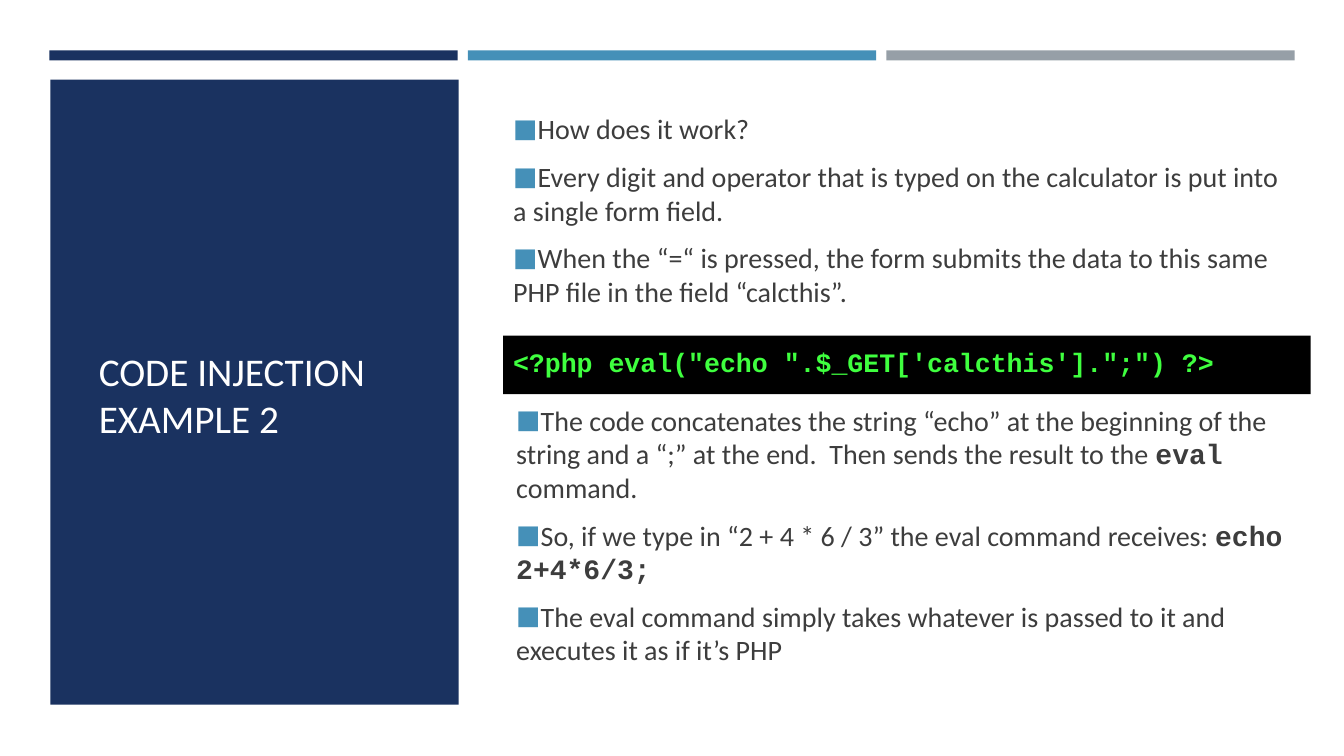
from dataclasses import dataclass

from lxml.etree import SubElement
from pptx import Presentation
from pptx.dml.color import RGBColor
from pptx.enum.shapes import MSO_SHAPE as Shape
from pptx.enum.text import MSO_ANCHOR as Anchor, MSO_AUTO_SIZE as AutoSize, PP_ALIGN as Align
from pptx.oxml.ns import qn
from pptx.util import Inches, Pt

COLORS = {
    "navy": "1A3260",
    "blue": "4590B8",
    "gray": "969FA7",
    "text": "3D3D3D",
    "black": "000000",
    "green": "3FFF3F",
    "white": "FFFFFF",
}
BODY_FONT, CODE_FONT = "Calibri", "Courier New"


@dataclass
class Block:
    left: float
    top: float
    width: float
    height: float
    color: str


@dataclass
class Span:
    text: str
    code: bool = False


@dataclass
class BulletList:
    left: float
    top: float
    width: float
    height: float
    top_inset: float
    items: list[list[Span]]


PANEL = Block(0.5, 0.79, 4.05, 6.2, "navy")
BAR_STEP = 4.15
BARS = [
    Block(0.49 + index * BAR_STEP, 0.5, 4.05, 0.1, color)
    for index, color in enumerate(("navy", "blue", "gray"))
]
CODE_BAR = Block(4.99, 3.33, 8.01, 0.58, "black")
LISTS = [
    BulletList(4.99, 0.79, 7.86, 2.55, 0.32, [
        [Span("How does it work?")],
        [Span("Every digit and operator that is typed on the calculator is put into "
              "a single form field.")],
        [Span("When the “=“ is pressed, the form submits the data to this same PHP file "
              "in the field “calcthis”.")],
    ]),
    BulletList(5.02, 4.0, 7.86, 2.96, 0, [
        [Span("The code concatenates the string “echo” at the beginning of the string and "
              "a “;” at the end.  Then sends the result to the "),
         Span("eval ", code=True),
         Span("command.")],
        [Span("So, if we type in “2 + 4 * 6 / 3” the eval command receives: "),
         Span("echo 2+4*6/3;", code=True)],
        [Span("The eval command simply takes whatever is passed to it and executes it "
              "as if it’s PHP")],
    ]),
]


def rgb(name: str) -> RGBColor:
    return RGBColor.from_string(COLORS[name])


def set_all(target, **values) -> None:
    for name, value in values.items():
        setattr(target, name, value)


def place(shape, left: float, top: float, width: float, height: float) -> None:
    set_all(shape, left=Inches(left), top=Inches(top),
            width=Inches(width), height=Inches(height))


def add_span(para, text: str, size: float, color: str, code: bool = False) -> None:
    span = para.add_run()
    span.text = text
    set_all(span.font, name=CODE_FONT if code else BODY_FONT, size=Pt(size), bold=code)
    span.font.color.rgb = rgb(color)


def add_block(slide, block: Block):
    shape = slide.shapes.add_shape(
        Shape.RECTANGLE, Inches(block.left), Inches(block.top),
        Inches(block.width), Inches(block.height))
    shape.shadow.inherit = False
    shape.fill.solid()
    shape.fill.fore_color.rgb = rgb(block.color)
    shape.line.fill.background()
    return shape


def add_bullet(para) -> None:
    """Give the paragraph a square bullet that sits directly before its text."""
    properties = para._p.get_or_add_pPr()
    set_values = {"marL": "0", "indent": "0"}
    for name, value in set_values.items():
        properties.set(name, value)
    color = SubElement(properties, qn("a:buClr"))
    SubElement(color, qn("a:srgbClr"), val=COLORS["blue"])
    SubElement(properties, qn("a:buSzPct"), val="92000")
    SubElement(properties, qn("a:buFont"), typeface=BODY_FONT)
    SubElement(properties, qn("a:buChar"), char="■")


def fill_list(box, content: BulletList) -> None:
    place(box, content.left, content.top, content.width, content.height)
    frame = box.text_frame
    set_all(frame, auto_size=AutoSize.NONE, word_wrap=True, vertical_anchor=Anchor.TOP,
            margin_top=Inches(content.top_inset), margin_bottom=0)
    for index, spans in enumerate(content.items):
        para = frame.add_paragraph() if index else frame.paragraphs[0]
        set_all(para, space_before=Pt(0), space_after=Pt(10))
        add_bullet(para)
        for span in spans:
            add_span(para, span.text, 20, "text", span.code)


def fill_title(title, text: str) -> None:
    place(title, 0.88, 1.32, 3.38, 5.18)
    set_all(title.text_frame, auto_size=AutoSize.NONE, word_wrap=True,
            vertical_anchor=Anchor.MIDDLE)
    para = title.text_frame.paragraphs[0]
    para.alignment = Align.LEFT
    add_span(para, text, 28, "white")


def add_code_bar(slide, text: str) -> None:
    frame = add_block(slide, CODE_BAR).text_frame
    set_all(frame, word_wrap=True, vertical_anchor=Anchor.MIDDLE,
            margin_left=Inches(0.1), margin_right=0,
            margin_top=Inches(0.05), margin_bottom=Inches(0.1))
    para = frame.paragraphs[0]
    para.alignment = Align.LEFT
    add_span(para, text, 19, "green", code=True)


def main() -> None:
    deck = Presentation()
    set_all(deck, slide_width=Inches(13.33), slide_height=Inches(7.5))
    page = deck.slides.add_slide(deck.slide_layouts.get_by_name("Two Content"))
    title, *boxes = page.placeholders

    panel = add_block(page, PANEL)
    title.element.addprevious(panel.element)
    fill_title(title, "CODE INJECTION EXAMPLE 2")
    for bar in BARS:
        add_block(page, bar)
    for box, content in zip(boxes, LISTS):
        fill_list(box, content)
    add_code_bar(page, "<?php eval(\"echo \".$_GET['calcthis'].\";\") ?>")

    deck.save("out.pptx")


if __name__ == "__main__":
    main()
